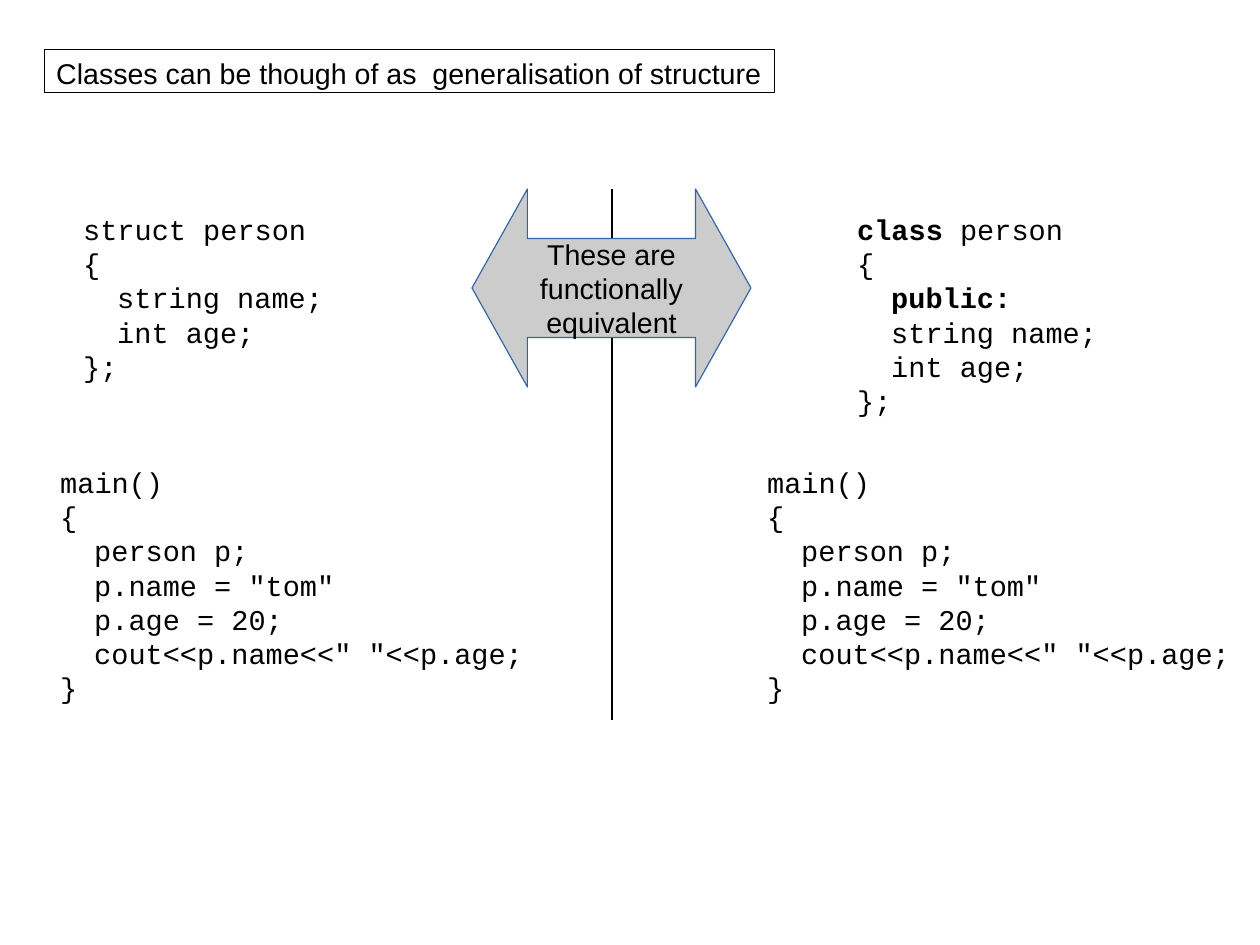
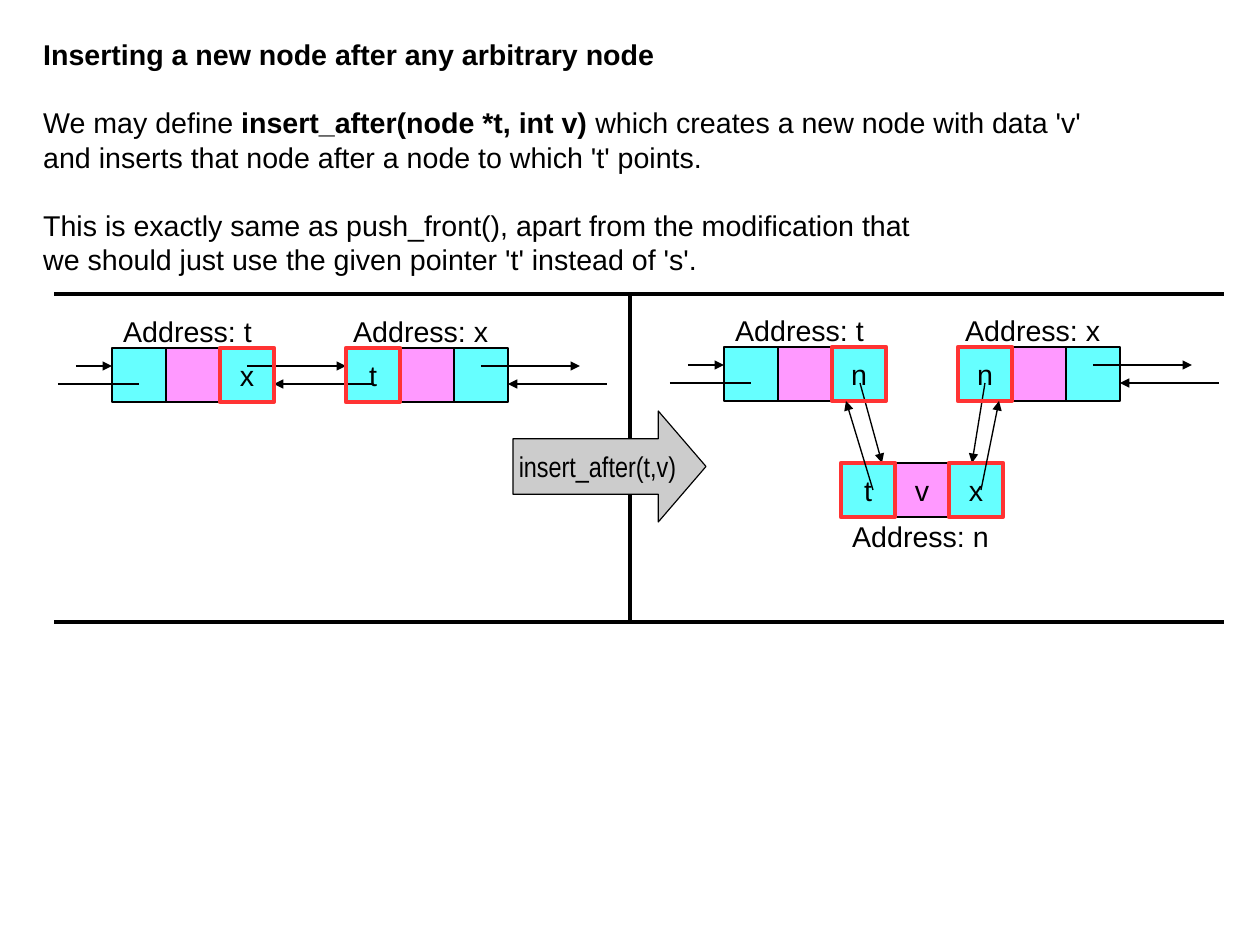
from dataclasses import dataclass
from typing import NamedTuple

from lxml.etree import SubElement
from pptx import Presentation
from pptx.dml.color import RGBColor
from pptx.enum.shapes import MSO_CONNECTOR, MSO_SHAPE
from pptx.enum.text import MSO_ANCHOR, MSO_AUTO_SIZE, PP_ALIGN
from pptx.oxml.ns import qn
from pptx.util import Pt

PX = 8000  # EMU in one px
COLORS = {
    "ink": "000000",
    "arrow": "CCCCCC",
    "arrow_edge": "3465A4",
    "link": "66FFFF",
    "data": "FF99FF",
    "frame": "FF3333",
}
HAIRLINE, THIN, THICK = 0, 0.85, 2.83
SANS = {"name": "Arial", "size": Pt(18)}
NARROW = {**SANS, "name": "Arial Narrow"}
CODE = {**SANS, "name": "Courier New"}
CODE_INDENT = 34
BLANK_LINE = Pt(21.6)

CELL = 54
NODE_PITCH = 234
LABEL_WIDTH, LABEL_HEIGHT = 180, 43
UPPER_LANE, LOWER_LANE = 18, 36


class Box(NamedTuple):
    left: int
    top: int
    width: int
    height: int


class Segment(NamedTuple):
    x1: int
    y1: int
    x2: int
    y2: int
    arrow: bool = True

    def moved(self, left: int, top: int) -> "Segment":
        return Segment(self.x1 + left, self.y1 + top, self.x2 + left, self.y2 + top, self.arrow)


class Span(NamedTuple):
    text: str
    bold: bool = False


@dataclass
class Para:
    spans: list[Span]
    indent: int = 0
    gap: int = 0


@dataclass
class Node:
    left: int
    top: int
    texts: tuple[str, str, str]
    framed: tuple[int, ...]
    address: str
    label_left: int
    label_top: int


def plain(*lines: str) -> list[Para]:
    return [Para([Span(line)]) for line in lines]


def code(*lines: str) -> list[Para]:
    """Indent every line between the braces."""
    paras, depth = [], 0
    for line in lines:
        if line.startswith("}"):
            depth -= 1
        paras.append(Para([Span(line)], indent=depth * CODE_INDENT))
        if line == "{":
            depth += 1
    return paras


def rgb(color: str) -> RGBColor:
    return RGBColor.from_string(COLORS[color])


def set_line(shape, color: str, width: float) -> None:
    shape.line.color.rgb = rgb(color)
    shape.line.width = Pt(width)


def write(shape, paras: list[Para], font: dict, align: PP_ALIGN, wrap: bool) -> None:
    frame = shape.text_frame
    frame.word_wrap = wrap
    frame.auto_size = MSO_AUTO_SIZE.NONE
    for index, source in enumerate(paras):
        para = frame.add_paragraph() if index else frame.paragraphs[0]
        para.alignment = align
        para.space_before = source.gap
        if source.indent:
            properties = para._p.get_or_add_pPr()
            properties.set("marL", str(source.indent * PX))
            properties.set("indent", "0")
        for text, bold in source.spans:
            span = para.add_run()
            span.text = text
            for name, value in {**font, "bold": bold}.items():
                setattr(span.font, name, value)
            span.font.color.rgb = rgb("ink")


def add_text(page, box: Box, paras: list[Para], font: dict = SANS):
    shape = page.shapes.add_textbox(*(value * PX for value in box))
    write(shape, paras, font, PP_ALIGN.LEFT, wrap=True)
    return shape


def add_figure(page, kind, box: Box, fill: str | None, line: str, width: float,
               paras: list[Para] | None = None, font: dict = SANS):
    shape = page.shapes.add_shape(kind, *(value * PX for value in box))
    shape.shadow.inherit = False
    if fill:
        shape.fill.solid()
        shape.fill.fore_color.rgb = rgb(fill)
    else:
        shape.fill.background()
    set_line(shape, line, width)
    if paras:
        write(shape, paras, font, PP_ALIGN.CENTER, wrap=False)
        shape.text_frame.vertical_anchor = MSO_ANCHOR.MIDDLE
    return shape


def add_segment(page, segment: Segment, width: float = THIN) -> None:
    ends = (value * PX for value in segment[:4])
    connector = page.shapes.add_connector(MSO_CONNECTOR.STRAIGHT, *ends)
    set_line(connector, "ink", width)
    properties = connector.element.spPr
    if segment.arrow:
        SubElement(properties.find(qn("a:ln")), qn("a:tailEnd"), type="triangle")
    SubElement(properties, qn("a:effectLst"))


def add_cells(page, node: Node) -> None:
    for index, text in enumerate(node.texts):
        box = Box(node.left + index * CELL, node.top, CELL, CELL)
        fill = "data" if index == 1 else "link"
        add_figure(page, MSO_SHAPE.RECTANGLE, box, fill, "ink", THIN, plain(text) if text else None)


def add_frames(page, node: Node) -> None:
    """Mark the changed cells and name the node's address."""
    for index in node.framed:
        box = Box(node.left + index * CELL, node.top, CELL, CELL)
        add_figure(page, MSO_SHAPE.RECTANGLE, box, None, "frame", THICK)
    label_box = Box(node.label_left, node.label_top, LABEL_WIDTH, LABEL_HEIGHT)
    add_text(page, label_box, plain(f"Address: {node.address}"))


def add_node_pair(page, left: int, top: int, texts: tuple[str, str], links: list[Segment]) -> None:
    """Draw nodes t and x, their outer links and the given inner links."""
    second = left + NODE_PITCH
    nodes = [
        Node(left, top, ("", "", texts[0]), (2,), "t", left, top - 40),
        Node(second, top, (texts[1], "", ""), (0,), "x", second - 4, top - 40),
    ]
    end = NODE_PITCH + 3 * CELL
    outer = [
        Segment(end - CELL // 2, UPPER_LANE, end + 72, UPPER_LANE),
        Segment(end + 99, LOWER_LANE, end, LOWER_LANE),
        Segment(-36, UPPER_LANE, 0, UPPER_LANE),
        Segment(-CELL, LOWER_LANE, CELL // 2, LOWER_LANE, arrow=False),
    ]
    for node in nodes:
        add_cells(page, node)
    for segment in links + outer:
        add_segment(page, segment.moved(left, top))
    for node in nodes:
        add_frames(page, node)


def build_struct_and_class(page) -> None:
    title = add_text(page, Box(45, 50, 730, 43),
                     plain("Classes can be though of as  generalisation of structure"))
    set_line(title, "ink", HAIRLINE)

    members = ("string name;", "int age;", "};")
    add_text(page, Box(72, 206, 280, 174), code("struct person", "{", *members), CODE)
    class_code = code("class person", "{", "public:", *members)
    class_code[0].spans = [Span("class", bold=True), Span(" person")]
    class_code[2].spans = [Span("public:", bold=True)]
    add_text(page, Box(846, 206, 280, 207), class_code, CODE)

    main_code = code("main()", "{", "person p;", 'p.name = "tom"', "p.age = 20;",
                     'cout<<p.name<<" "<<p.age;', "}")
    for left in (49, 756):
        add_text(page, Box(left, 459, 495, 239), main_code, CODE)

    add_segment(page, Segment(612, 189, 612, 720, arrow=False))
    arrow = add_figure(page, MSO_SHAPE.LEFT_RIGHT_ARROW, Box(472, 189, 279, 198),
                       "arrow", "arrow_edge", HAIRLINE,
                       plain("These are", "functionally", "equivalent"))
    arrow.adjustments[1] = 0.28


def build_insert_after(page) -> None:
    add_text(page, Box(32, 31, 1100, 235), [
        Para([Span("Inserting a new node after any arbitrary node", bold=True)]),
        Para([Span("We may define "), Span("insert_after(node *t, int v)", bold=True),
              Span(" which creates a new node with data 'v'")], gap=BLANK_LINE),
        Para([Span("and inserts that node after a node to which 't' points.")]),
        Para([Span("This is exactly same as push_front(), apart from the modification that")],
             gap=BLANK_LINE),
        Para([Span("we should just use the given pointer 't' instead of 's'.")]),
    ])

    add_node_pair(page, 112, 348, ("x", "t"), [
        Segment(135, UPPER_LANE, NODE_PITCH, UPPER_LANE),
        Segment(261, LOWER_LANE, 3 * CELL, LOWER_LANE),
    ])

    add_segment(page, Segment(630, 294, 630, 622, arrow=False), THICK)
    arrow = add_figure(page, MSO_SHAPE.RIGHT_ARROW, Box(513, 411, 193, 111),
                       "arrow", "ink", HAIRLINE, plain("insert_after(t,v)"), NARROW)
    arrow.adjustments[1] = 0.43
    for y in (622, 294):
        add_segment(page, Segment(54, y, 1224, y, arrow=False), THICK)

    add_node_pair(page, 724, 347, ("n", "n"), [
        Segment(136, LOWER_LANE, 158, 116),
        Segment(261, LOWER_LANE, 248, 116),
    ])
    new_node = Node(841, 463, ("t", "v", "x"), (0, 2), "n", 841, 513)
    add_cells(page, new_node)
    add_frames(page, new_node)
    for segment in (Segment(873, 490, 846, 401), Segment(981, 490, 999, 401)):
        add_segment(page, segment)


def main() -> None:
    deck = Presentation()
    deck.slide_width, deck.slide_height = 1260 * PX, 945 * PX
    for build in (build_struct_and_class, build_insert_after):
        build(deck.slides.add_slide(deck.slide_layouts[6]))
    deck.save("out.pptx")


if __name__ == "__main__":
    main()
